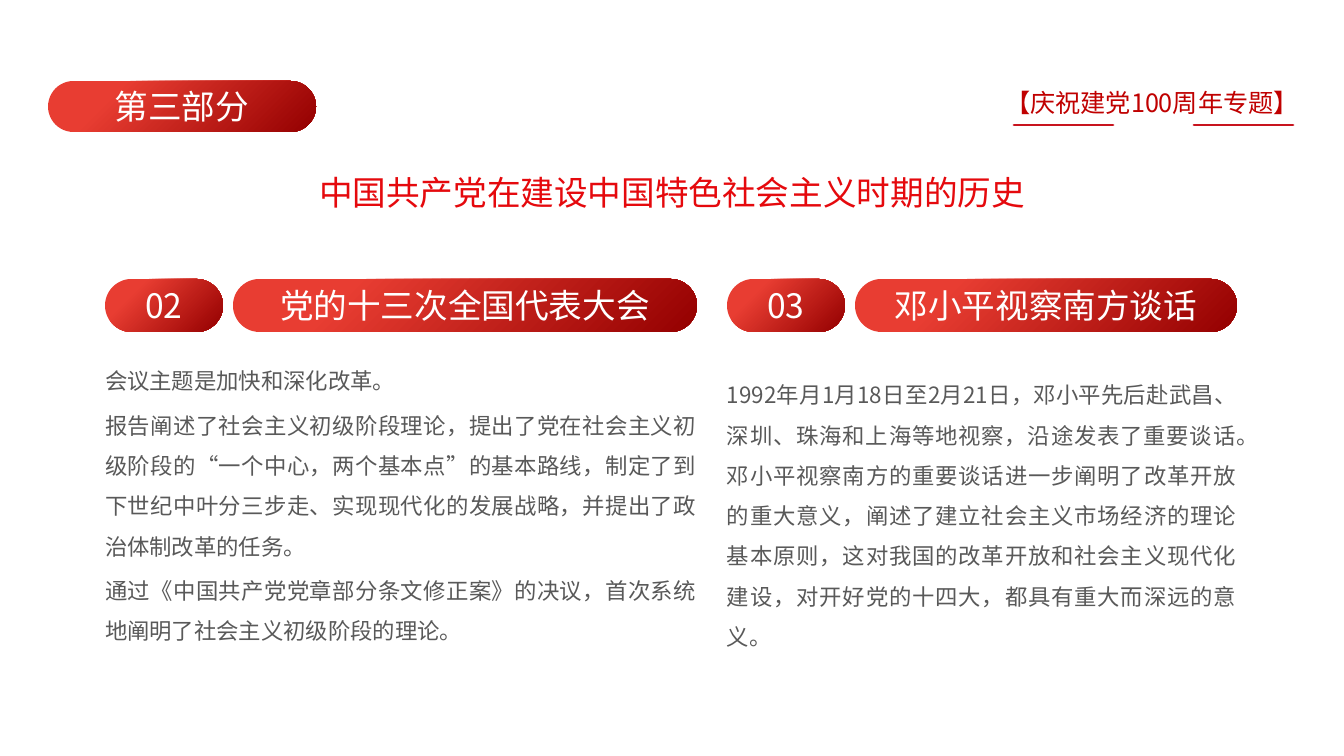
from dataclasses import dataclass

from lxml.etree import SubElement
from pptx import Presentation
from pptx.dml.color import RGBColor
from pptx.enum.lang import MSO_LANGUAGE_ID as Language
from pptx.enum.shapes import MSO_CONNECTOR as Connector, MSO_SHAPE as Preset
from pptx.enum.text import MSO_ANCHOR as Anchor, MSO_AUTO_SIZE as AutoSize, PP_ALIGN as Align
from pptx.oxml.ns import qn
from pptx.util import Emu, Pt

PART = "第三部分"
TOPIC = "【庆祝建党100周年专题】"
TITLE = "中国共产党在建设中国特色社会主义时期的历史"
SECTIONS = [
    {
        "number": "02", "heading": "党的十三次全国代表大会",
        "left": 105, "width": 592, "body_top": 354, "body_height": 296,
        "body": [
            "会议主题是加快和深化改革。",
            "报告阐述了社会主义初级阶段理论，提出了党在社会主义初级阶段的“一个中心，两个基本点”的基本路线，制定了到下世纪中叶分三步走、实现现代化的发展战略，并提出了政治体制改革的任务。",
            "通过《中国共产党党章部分条文修正案》的决议，首次系统地阐明了社会主义初级阶段的理论。",
        ],
    },
    {
        "number": "03", "heading": "邓小平视察南方谈话",
        "left": 727, "width": 510, "body_top": 368, "body_height": 280,
        "body": [
            "1992年月1月18日至2月21日，邓小平先后赴武昌、深圳、珠海和上海等地视察，沿途发表了重要谈话。邓小平视察南方的重要谈话进一步阐明了改革开放的重大意义，阐述了建立社会主义市场经济的理论基本原则，这对我国的改革开放和社会主义现代化建设，对开好党的十四大，都具有重大而深远的意义。",
        ],
    },
]
UNDERLINE_LEFTS = (1014, 1194)
UNDERLINE_WIDTH, UNDERLINE_TOP = 99, 125
PILL_TOP, PILL_HEIGHT = 279, 53
NUMBER_WIDTH, PILL_GAP = 118, 10


@dataclass(frozen=True)
class Theme:
    font: str = "Noto Sans CJK SC"
    white: str = "FFFFFF"
    title: str = "E5090D"
    topic: str = "C00000"
    underline: str = "C8141E"
    body: str = "595959"
    pill_stops: tuple = ((0.24, "E83D32"), (1, "940000"))
    heading_size: int = 24
    topic_size: int = 18
    body_size: int = 16


THEME = Theme()


def px(length):
    return Emu(round(length * 914400 / 100.8))


def place(shape, left, top, width, height):
    shape.left, shape.top, shape.width, shape.height = map(px, (left, top, width, height))


def write(shape, paragraphs, *, size, color, align=Align.CENTER, anchor=Anchor.TOP,
          inset=(0, 0), line_spacing=1, gap=0):
    frame = shape.text_frame
    frame.word_wrap = True
    frame.auto_size = AutoSize.NONE
    frame.vertical_anchor = anchor
    frame.margin_left = frame.margin_right = px(inset[0])
    frame.margin_top = frame.margin_bottom = px(inset[1])
    for index, text in enumerate(paragraphs):
        paragraph = frame.add_paragraph() if index else frame.paragraphs[0]
        properties = paragraph._p.get_or_add_pPr()
        properties.set("marL", "0")
        properties.set("indent", "0")
        SubElement(properties, qn("a:buNone"))
        paragraph.alignment = align
        paragraph.line_spacing = line_spacing
        paragraph.space_before = Pt(gap if index else 0)
        run = paragraph.add_run()
        run.text = text
        run.font.size = Pt(size)
        run.font.name = THEME.font
        run.font.color.rgb = RGBColor.from_string(color)
        run.font.language_id = Language.SIMPLIFIED_CHINESE
        SubElement(run.font._element, qn("a:ea"), typeface=THEME.font)


def add_pill(slide, text, *box):
    pill = slide.shapes.add_shape(Preset.ROUNDED_RECTANGLE, *map(px, box))
    pill.adjustments[0] = 0.5
    pill.shadow.inherit = False
    pill.line.fill.background()
    pill.fill.gradient()
    pill.fill.gradient_angle = 315
    for stop, (position, color) in zip(pill.fill.gradient_stops, THEME.pill_stops):
        stop.position = position
        stop.color.rgb = RGBColor.from_string(color)
    write(pill, [text], size=THEME.heading_size, color=THEME.white, anchor=Anchor.MIDDLE)


def add_underline(slide, left):
    line = slide.shapes.add_connector(
        Connector.STRAIGHT, px(left), px(UNDERLINE_TOP),
        px(left + UNDERLINE_WIDTH), px(UNDERLINE_TOP))
    line.line.color.rgb = RGBColor.from_string(THEME.underline)
    line.line.width = Pt(2)
    line.line._get_or_add_ln().set("cap", "rnd")
    SubElement(line._element.spPr, qn("a:effectLst"))


def add_section(slide, section, body):
    left, width = section["left"], section["width"]
    heading_left = left + NUMBER_WIDTH + PILL_GAP
    add_pill(slide, section["number"], left, PILL_TOP, NUMBER_WIDTH, PILL_HEIGHT)
    add_pill(slide, section["heading"], heading_left, PILL_TOP,
             left + width - heading_left, PILL_HEIGHT)
    place(body, left, section["body_top"], width, section["body_height"])
    write(body, section["body"], size=THEME.body_size, color=THEME.body,
          align=Align.JUSTIFY, line_spacing=1.5, gap=3)


def main():
    presentation = Presentation()
    presentation.slide_width, presentation.slide_height = px(1344), px(756)
    slide = presentation.slides.add_slide(presentation.slide_layouts.get_by_name("Two Content"))
    title, *bodies = slide.placeholders

    topic = slide.shapes.add_textbox(px(799), px(80), px(513), px(44))
    write(topic, [TOPIC], size=THEME.topic_size, color=THEME.topic,
          align=Align.RIGHT, inset=(13, 7))
    for left in UNDERLINE_LEFTS:
        add_underline(slide, left)
    add_pill(slide, PART, 48, 81, 268, 51)

    place(title, 248, 165, 848, 54)
    write(title, [TITLE], size=THEME.heading_size, color=THEME.title, inset=(13, 7))
    for section, body in zip(SECTIONS, bodies):
        add_section(slide, section, body)
    presentation.save("out.pptx")


if __name__ == "__main__":
    main()
